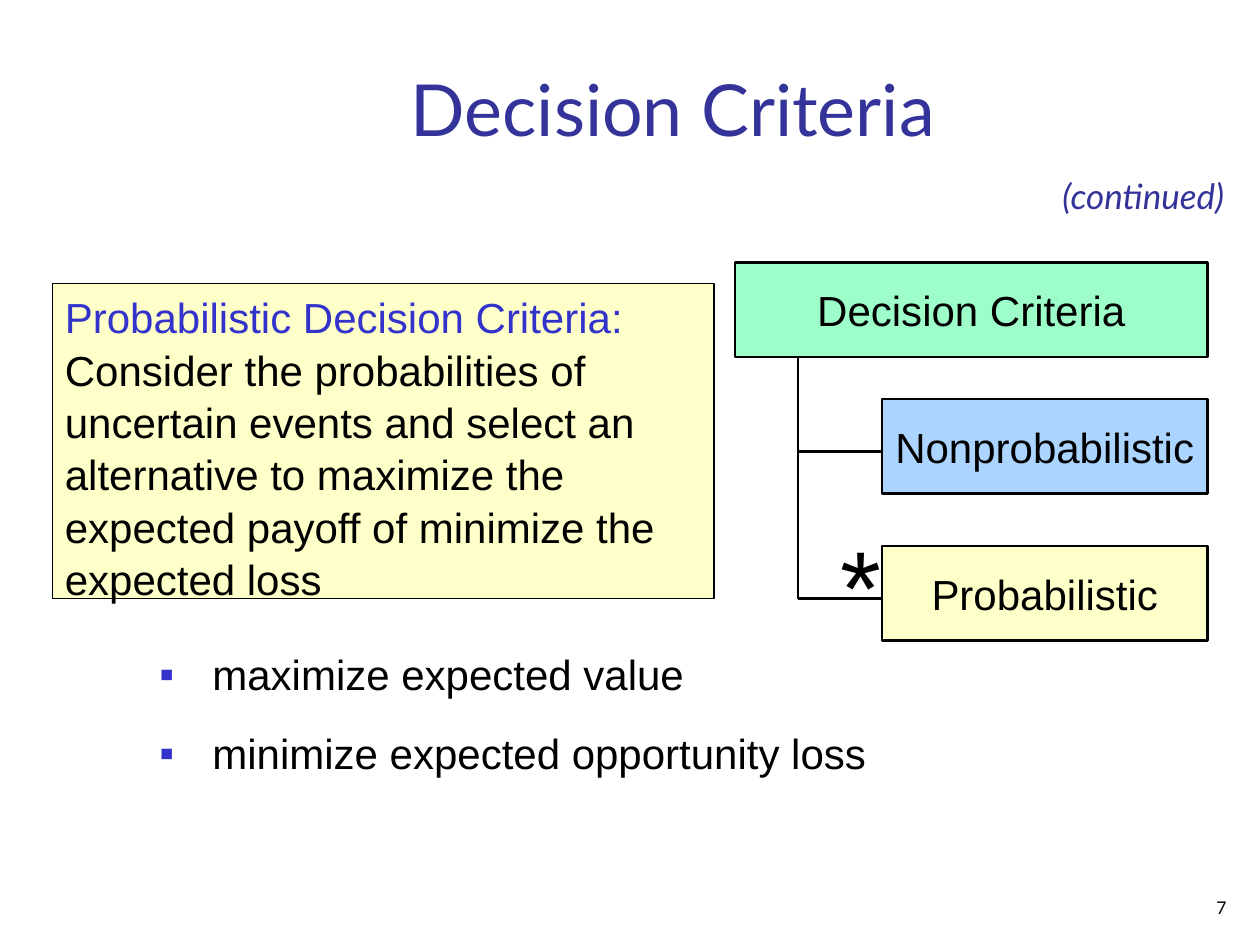
from dataclasses import dataclass

from lxml.etree import SubElement
from pptx import Presentation
from pptx.dml.color import RGBColor
from pptx.enum.shapes import MSO_CONNECTOR as CONN, MSO_SHAPE as SHAPE
from pptx.enum.text import MSO_ANCHOR as ANCHOR, PP_ALIGN as ALIGN
from pptx.oxml.ns import qn
from pptx.util import Inches, Pt

BLACK, NAVY, BLUE, CREAM = "000000", "333399", "3333CC", "FFFFC9"
LINE_SPACING = 1.04


@dataclass
class Area:
    """A place on a grid of 120 columns and 90 rows, twelve to the inch."""
    col: float
    row: float
    cols: float
    rows: float


@dataclass
class Node:
    text: str
    area: Area
    fill: str


@dataclass
class Label:
    text: str
    area: Area
    size: float
    font: str
    color: str
    align: ALIGN = ALIGN.LEFT
    anchor: ANCHOR = ANCHOR.TOP
    italic: bool = False


def grid(n: float) -> int:
    return Inches(n / 12)


def rgb(value: str) -> RGBColor:
    return RGBColor.from_string(value)


def place(area: Area) -> list[int]:
    return [grid(n) for n in (area.col, area.row, area.cols, area.rows)]


def style(r, size: float = 24, font: str = "Arial", color: str = BLACK) -> None:
    r.font.size, r.font.name = Pt(size), font
    r.font.color.rgb = rgb(color)


def add_box(slide, area: Area, fill: str, line_width: float):
    sp = slide.shapes.add_shape(SHAPE.RECTANGLE, *place(area))
    sp.shadow.inherit = False
    sp.fill.solid()
    sp.fill.fore_color.rgb = rgb(fill)
    sp.line.color.rgb = rgb(BLACK)
    sp.line.width = Pt(line_width)
    return sp


def add_node(slide, node: Node) -> None:
    tf = add_box(slide, node.area, node.fill, 1.5).text_frame
    tf.text = node.text
    tf.word_wrap = False
    tf.vertical_anchor = ANCHOR.MIDDLE
    p = tf.paragraphs[0]
    p.alignment = ALIGN.CENTER
    style(p.runs[0])


def add_line(slide, x1: float, y1: float, x2: float, y2: float) -> None:
    line = slide.shapes.add_connector(CONN.STRAIGHT, *map(grid, (x1, y1, x2, y2)))
    line.line.color.rgb = rgb(BLACK)
    line.line.width = Pt(1.5)
    SubElement(line._element.spPr, qn("a:effectLst"))


def add_label(slide, label: Label) -> None:
    tf = slide.shapes.add_textbox(*place(label.area)).text_frame
    tf.text = label.text
    tf.word_wrap = True
    tf.vertical_anchor = label.anchor
    p = tf.paragraphs[0]
    p.alignment = label.align
    style(p.runs[0], label.size, label.font, label.color)
    p.runs[0].font.italic = label.italic


def add_definition(slide, area: Area, term: str, meaning: str) -> None:
    tf = add_box(slide, area, CREAM, 0.75).text_frame
    tf.word_wrap = True
    tf.vertical_anchor = ANCHOR.TOP
    p = tf.paragraphs[0]
    p.alignment = ALIGN.LEFT
    p.line_spacing = LINE_SPACING
    for text, color in ((term, BLUE), (meaning, BLACK)):
        r = p.add_run()
        r.text = text
        style(r, color=color)


def add_bullets(slide, area: Area, items: list[str]) -> None:
    tf = slide.shapes.add_textbox(*place(area)).text_frame
    tf.text = "\n".join(items)
    tf.word_wrap = True
    for p in tf.paragraphs:
        p.space_before = Pt(15)
        p.line_spacing = LINE_SPACING
        style(p.runs[0])
        pPr = p._p.get_or_add_pPr()
        pPr.set("marL", str(Inches(0.42)))
        pPr.set("indent", str(-Inches(0.42)))
        color = SubElement(pPr, qn("a:buClr"))
        SubElement(color, qn("a:srgbClr"), val=BLUE)
        SubElement(pPr, qn("a:buFont"), typeface="Arial")
        SubElement(pPr, qn("a:buChar"), char="▪")


def main() -> None:
    prs = Presentation()
    prs.slide_width, prs.slide_height = Inches(10), Inches(7.5)
    slide = prs.slides.add_slide(prs.slide_layouts[6])

    # Tree of criteria: a trunk with one branch to each kind
    for node in (
        Node("Nonprobabilistic", Area(84, 38, 31, 9), "ABD5FF"),
        Node("Probabilistic", Area(84, 52, 31, 9), CREAM),
        Node("Decision Criteria", Area(70, 25, 45, 9), "9EFEC9"),
    ):
        add_node(slide, node)
    add_line(slide, 76, 57, 76, 34)
    for row in (57, 43):
        add_line(slide, 76, row, 84, row)

    # Definition and its two rules
    add_definition(
        slide, Area(5, 27, 63, 30), "Probabilistic Decision Criteria:",
        " Consider the probabilities of uncertain events and select an "
        "alternative to maximize the expected payoff of minimize the expected loss")
    add_bullets(slide, Area(14, 61, 70, 13.3),
                ["maximize expected value", "minimize expected opportunity loss"])

    # Marker, title, subtitle and page number
    for label in (
        Label("*", Area(78, 49, 8, 13.2), 60, "Arial", BLACK, ALIGN.CENTER),
        Label("Decision Criteria", Area(13, 5, 102.2, 10), 41, "Lato", NAVY,
              ALIGN.CENTER, ANCHOR.BOTTOM),
        Label("(continued)", Area(100, 16, 20, 5.3), 20, "Lato", NAVY, italic=True),
        Label("7", Area(93, 84, 25, 4), 10, "Lato", BLACK, ALIGN.RIGHT, ANCHOR.BOTTOM),
    ):
        add_label(slide, label)

    prs.save("out.pptx")


if __name__ == "__main__":
    main()
